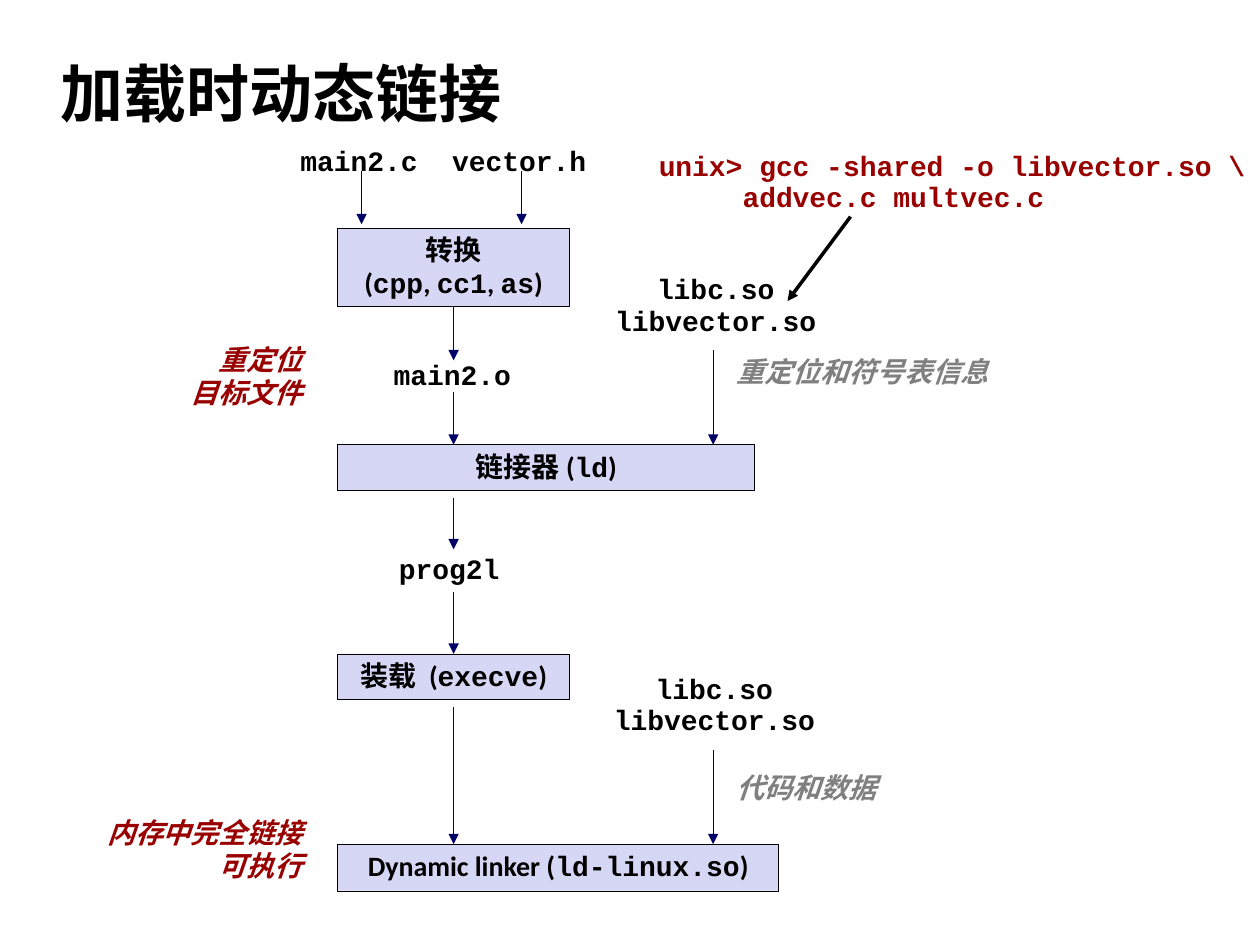
"""Slide on dynamic linking at load time: build chain from source files to memory."""
from lxml import etree
from pptx import Presentation, util as u
from pptx.dml.color import RGBColor
from pptx.enum import shapes, text
from pptx.oxml import ns

BLACK = RGBColor(0x00, 0x00, 0x00)
NAVY = RGBColor(0x00, 0x00, 0x66)
LAVENDER = RGBColor(0xD6, 0xD6, 0xF5)
RED = RGBColor(0x99, 0x00, 0x00)
GRAY = RGBColor(0x80, 0x80, 0x80)
SANS, MONO = "Calibri", "Courier New"
LEFT, CENTER, RIGHT = text.PP_ALIGN.LEFT, text.PP_ALIGN.CENTER, text.PP_ALIGN.RIGHT

deck = Presentation()
deck.slide_width, deck.slide_height = u.Inches(10), u.Inches(7.5)
slide = deck.slides.add_slide(deck.slide_layouts[6])
COLUMN, ROW = deck.slide_width / 100, deck.slide_height / 75


def cells(*lengths):
    """Turn alternating columns and rows into slide lengths."""
    return [round(n * (ROW if i % 2 else COLUMN)) for i, n in enumerate(lengths)]


def write(frame, lines, fonts=(SANS, MONO), size=16, color=BLACK, italic=False,
          align=LEFT, spacing=0.98, wrap=True, anchor=text.MSO_ANCHOR.TOP):
    """Fill a frame; backticks in a line switch between the two fonts."""
    frame.word_wrap = wrap
    frame.vertical_anchor = anchor
    for number, line in enumerate(lines):
        paragraph = frame.add_paragraph() if number else frame.paragraphs[0]
        paragraph.alignment, paragraph.line_spacing = align, spacing
        for i, part in enumerate(line.split("`")):
            if part:
                run = paragraph.add_run()
                run.text = part
                run.font.name, run.font.size = fonts[i % 2], u.Pt(size)
                run.font.bold, run.font.italic = True, italic
                run.font.color.rgb = color


title = slide.shapes.add_textbox(*cells(3.8, 3.1, 95.3, 8.5))
write(title.text_frame, ["加载时动态链接"], size=36, spacing=1,
      anchor=text.MSO_ANCHOR.MIDDLE)

STAGE_LEFT, STAGE_WIDTH = 26.8, 18.4
SPINE = STAGE_LEFT + STAGE_WIDTH / 2
LIBRARY = 56.6

stages = {}
for stage, top, width, height, lines in [
    ("translate", 18.1, STAGE_WIDTH, 6.2, ["转换", "(`cpp`, `cc1`, `as`)"]),
    ("link", 35.3, 33.1, 3.6, ["链接器(`ld`)"]),
    ("load", 51.9, STAGE_WIDTH, 3.6, ["装载 (`execve`)"]),
    ("dynamic link", 67, 35, 3.7, ["Dynamic linker (`ld-linux.so`)"]),
]:
    box = slide.shapes.add_shape(shapes.MSO_SHAPE.RECTANGLE,
                                 *cells(STAGE_LEFT, top, width, height))
    box.shadow.inherit = False
    box.fill.solid()
    box.fill.fore_color.rgb = LAVENDER
    box.line.color.rgb, box.line.width = BLACK, u.Pt(0.25)
    write(box.text_frame, lines, align=CENTER)
    stages[stage] = box

file_format = dict(fonts=(MONO, MONO), align=CENTER, spacing=0.94, wrap=False)
command_format = dict(file_format, align=LEFT, color=RED)
result_format = dict(color=RED, italic=True, align=RIGHT)
content_format = dict(color=GRAY, italic=True)
libraries = ["libc.so", "libvector.so"]
for place, lines, style in [
    ((22.8, 11.1, 11.4, 3.6), ["main2.c"], file_format),
    ((34.8, 11.1, 12.8, 3.6), ["vector.h"], file_format),
    ((30.2, 28.1, 11.4, 3.6), ["main2.o"], file_format),
    ((30.6, 43.5, 10.1, 3.6), ["prog2l"], file_format),
    ((47.7, 21.3, 18.2, 6.1), libraries, file_format),
    ((47.6, 53, 18.2, 6.1), libraries, file_format),
    ((51.3, 11.5, 49.2, 6.1),
     ["unix> gcc -shared -o libvector.so \\", "     addvec.c multvec.c"], command_format),
    ((10, 26.8, 15, 6.3), ["重定位", "目标文件"], result_format),
    ((5.8, 64.4, 19.2, 6.3), ["内存中完全链接", "可执行"], result_format),
    ((57.5, 27.8, 28.5, 3.6), ["重定位和符号表信息"], content_format),
    ((57.5, 60.8, 19.4, 3.6), ["代码和数据"], content_format),
]:
    label = slide.shapes.add_textbox(*cells(*place))
    write(label.text_frame, lines, **style)

flows = [
    (28.7, 13.6, 28.7, 17.8), (41.4, 13.6, 41.4, 17.8),
    (SPINE, 24.3, SPINE, 28.6), (SPINE, 31.1, SPINE, 35.3),
    (SPINE, 39.5, SPINE, 43.6), (SPINE, 47, SPINE, 51.9),
    (SPINE, 56.1, SPINE, 67),
    (LIBRARY, 27.8, LIBRARY, 35.3), (LIBRARY, 59.5, LIBRARY, 67),
    (67.5, 17.2, 62.5, 23.9),
]
arrows = []
for flow in flows:
    arrow = slide.shapes.add_connector(shapes.MSO_CONNECTOR.STRAIGHT, *cells(*flow))
    from_command = flow is flows[-1]
    arrow.line.color.rgb = BLACK if from_command else NAVY
    arrow.line.width = u.Pt(2 if from_command else 0.25)
    etree.SubElement(arrow.line._get_or_add_ln(), ns.qn("a:tailEnd"), type="triangle")
    etree.SubElement(arrow._element.spPr, ns.qn("a:effectLst"))
    arrows.append(arrow)
arrows[2].begin_connect(stages["translate"], 2)
arrows[5].end_connect(stages["load"], 0)

deck.save("out.pptx")
